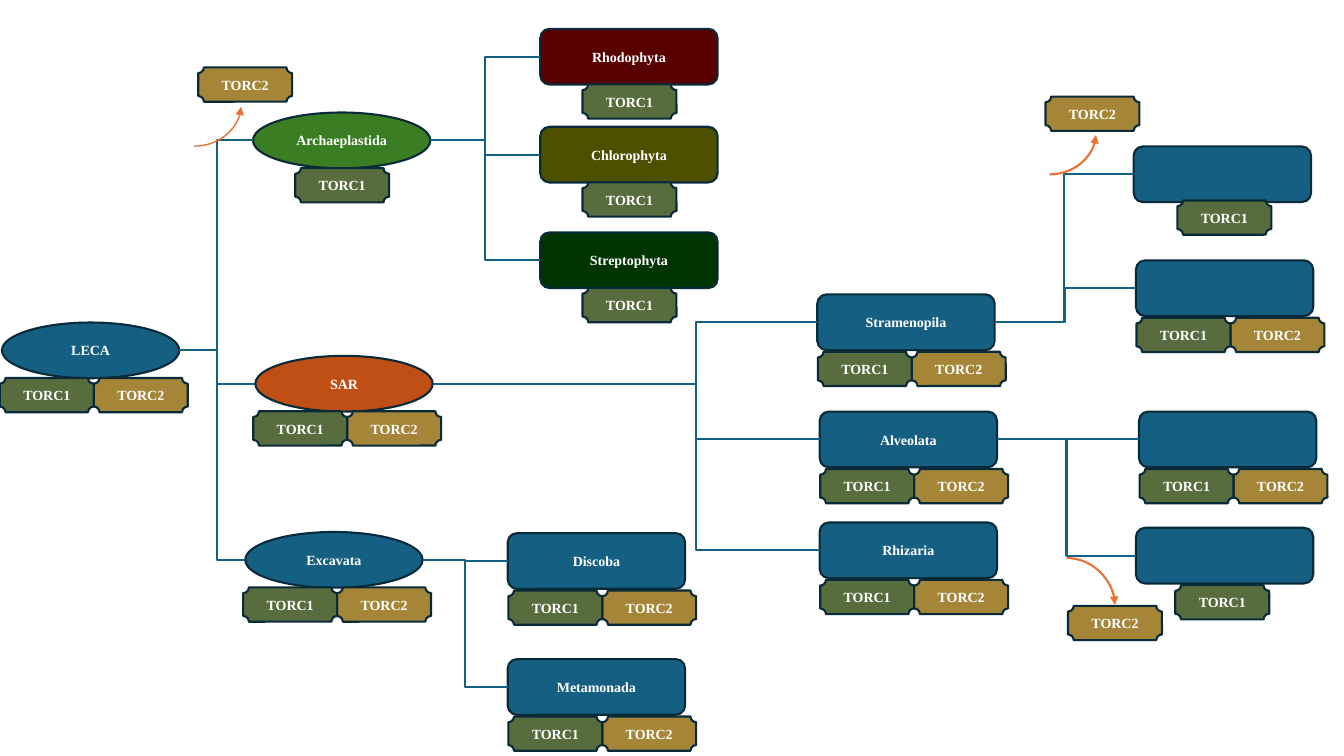
import pptx
import pptx.dml.color
import pptx.enum.shapes
import pptx.enum.text
import pptx.oxml
import pptx.oxml.ns
import pptx.util

Pt = pptx.util.Pt
qn = pptx.oxml.ns.qn
SHAPE = pptx.enum.shapes.MSO_SHAPE
CONNECTOR = pptx.enum.shapes.MSO_CONNECTOR

COLORS = {
    "blue": "156082", "outline": "092A39", "text": "FFFFFF",
    "TORC1": "586D3D", "TORC2": "A58537", "loss": "E97132",
    "green": "3B7D23", "orange": "C04F15",
    "maroon": "590000", "olive": "4F4F00", "forest": "003400",
}


class TreeSlide:
    """Style and drawing methods for the TORC evolution tree."""

    font = "Times New Roman"
    text_size = 10
    line_width = 1.5
    taxon_size = (126.7, 39.8)
    gene_size = (67.1, 24.5)

    def __init__(self, slide):
        self.shapes = slide.shapes

    def color(self, name):
        return pptx.dml.color.RGBColor.from_string(COLORS[name])

    def box(self, preset, left, top, size, fill, label):
        box = self.shapes.add_shape(preset, Pt(left), Pt(top), *map(Pt, size))
        box.shadow.inherit = False
        box.fill.solid()
        box.fill.fore_color.rgb = self.color(fill)
        box.line.color.rgb = self.color("outline")
        box.line.width = Pt(self.line_width)
        if label:
            box.text_frame.vertical_anchor = pptx.enum.text.MSO_ANCHOR.MIDDLE
            paragraph = box.text_frame.paragraphs[0]
            paragraph.text = label
            paragraph.alignment = pptx.enum.text.PP_ALIGN.CENTER
            paragraph.font.name = self.font
            paragraph.font.size = Pt(self.text_size)
            paragraph.font.bold = True
            paragraph.font.color.rgb = self.color("text")
        return box

    def gene(self, label, left, top):
        self.box(SHAPE.PLAQUE, left, top, self.gene_size, label, label)

    def taxon(self, label, left, top, fill="blue", group=False, both=True, shift=None):
        """A taxon with the genes it keeps; shift is the offset of the first gene."""
        preset = SHAPE.OVAL if group else SHAPE.ROUNDED_RECTANGLE
        taxon = self.box(preset, left, top, self.taxon_size, fill, label)
        if shift is None:
            shift = ((-1.5, 39.6) if group else (0.4, 41)) if both else (30.2, 39.7)
        gene_left, gene_top = left + shift[0], top + shift[1]
        if both:
            self.gene("TORC2", gene_left + self.gene_size[0], gene_top)
        self.gene("TORC1", gene_left, gene_top)
        return taxon

    def connector(self, kind, start, end, color, width):
        connector = self.shapes.add_connector(kind, *start, *end)
        connector.line.color.rgb = self.color(color)
        connector.line.width = Pt(width)
        properties = connector._element.spPr
        properties.append(pptx.oxml.parse_xml(
            f'<a:effectLst {pptx.oxml.ns.nsdecls("a")}/>'))
        return connector

    def branches(self, parent, children, trunk=None):
        """Lines from a parent to its children, bending at x = trunk or halfway."""
        start = (parent.left + parent.width, parent.top + parent.height // 2)
        for child in children:
            end = (child.left, child.top + child.height // 2)
            kind = CONNECTOR.STRAIGHT if start[1] == end[1] else CONNECTOR.ELBOW
            branch = self.connector(kind, start, end, "blue", self.line_width)
            if trunk:
                bend = round((Pt(trunk) - start[0]) / (end[0] - start[0]) * 100000)
                guide = pptx.oxml.parse_xml(
                    f'<a:gd {pptx.oxml.ns.nsdecls("a")} name="adj1" fmla="val {bend}"/>')
                branch._element.spPr.prstGeom.get_or_add_avLst().append(guide)

    def loss(self, gene_at, start, end, width=1.5):
        """A lost TORC2 with the curved arrow that leads to it."""
        self.gene("TORC2", *gene_at)
        arrow = self.connector(CONNECTOR.CURVE, tuple(map(Pt, start)),
                               tuple(map(Pt, end)), "loss", width)
        properties = arrow._element.spPr
        properties.prstGeom.set("prst", "curvedConnector2")
        properties.find(qn("a:ln")).append(pptx.oxml.parse_xml(
            f'<a:tailEnd {pptx.oxml.ns.nsdecls("a")} type="triangle"/>'))


def main():
    presentation = pptx.Presentation()
    presentation.slide_width, presentation.slide_height = Pt(960), Pt(540)
    tree = TreeSlide(presentation.slides.add_slide(presentation.slide_layouts[6]))

    # Root and supergroups
    leca = tree.taxon("LECA", 1.4, 230.4, group=True)
    archaeplastida = tree.taxon("Archaeplastida", 180.7, 80.4, "green",
                                group=True, both=False)
    sar = tree.taxon("SAR", 182.4, 254.2, "orange", group=True)
    excavata = tree.taxon("Excavata", 175.2, 380, group=True)

    # Archaeplastida lineages
    plants = [tree.taxon(label, 385.9, top, fill, both=False) for label, top, fill in (
        ("Rhodophyta", 20.6, "maroon"),
        ("Chlorophyta", 90.6, "olive"),
        ("Streptophyta", 166, "forest"))]

    # Excavata lineages
    excavates = [tree.taxon(label, 362.7, top) for label, top in (
        ("Discoba", 380.8), ("Metamonada", 470.8))]

    # SAR lineages
    stramenopila = tree.taxon("Stramenopila", 583.8, 210.3)
    alveolata = tree.taxon("Alveolata", 585.5, 294)
    rhizaria = tree.taxon("Rhizaria", 585.5, 373.2)

    # Unnamed lineages
    stramenopiles = [
        tree.taxon("", 809.8, 104.6, both=False, shift=(31.2, 38.6)),
        tree.taxon("", 811.4, 186)]
    alveolates = [
        tree.taxon("", 813.6, 294),
        tree.taxon("", 811.4, 377, both=False, shift=(28.1, 41))]

    # Branches
    tree.branches(leca, [archaeplastida, sar, excavata], trunk=154.8)
    tree.branches(archaeplastida, plants)
    tree.branches(excavata, excavates)
    tree.branches(sar, [stramenopila, alveolata, rhizaria], trunk=497)
    tree.branches(stramenopila, stramenopiles)
    tree.branches(alveolata, alveolates)

    # Losses of TORC2
    tree.loss((141.6, 48.2), (138.8, 104.4), (172.2, 76.3), width=1)
    tree.loss((746.8, 69), (749.5, 124.6), (782.8, 96.5))
    tree.loss((762.9, 432.8), (761.8, 398.6), (796.4, 432))

    presentation.save("out.pptx")


if __name__ == "__main__":
    main()
